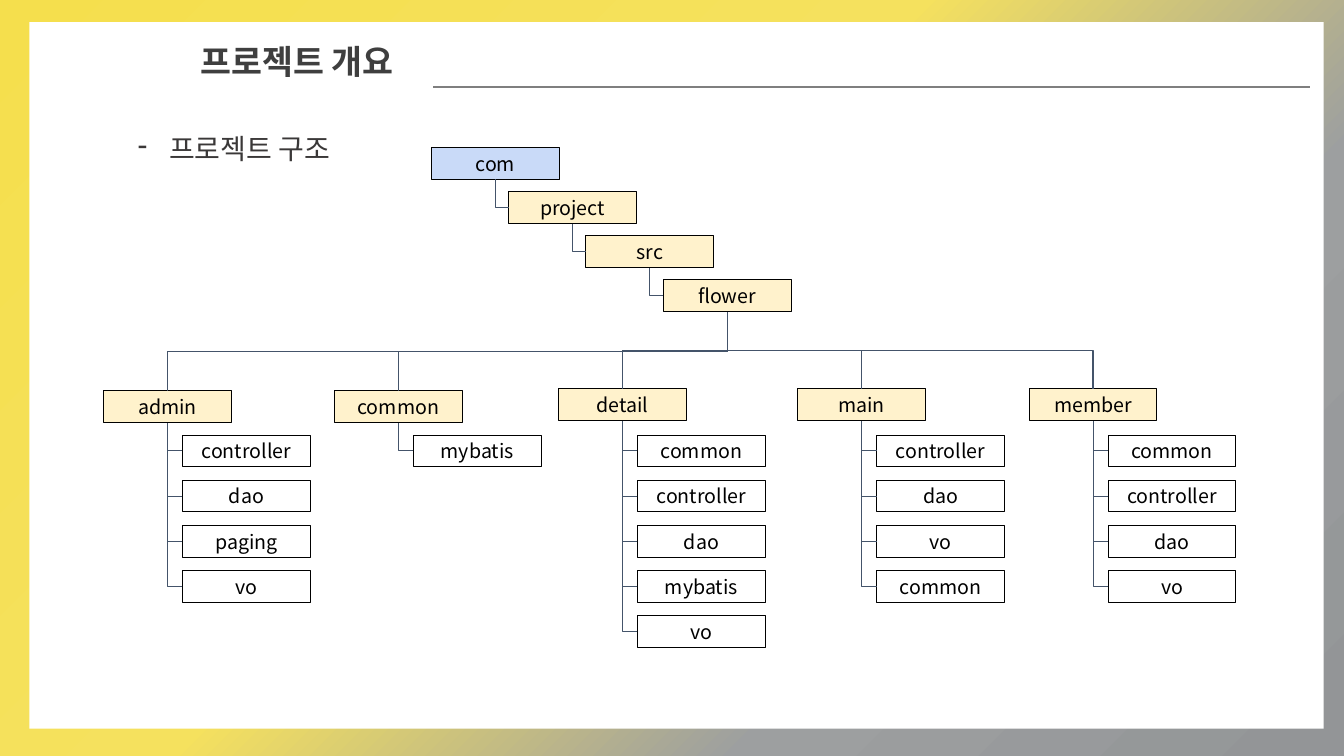
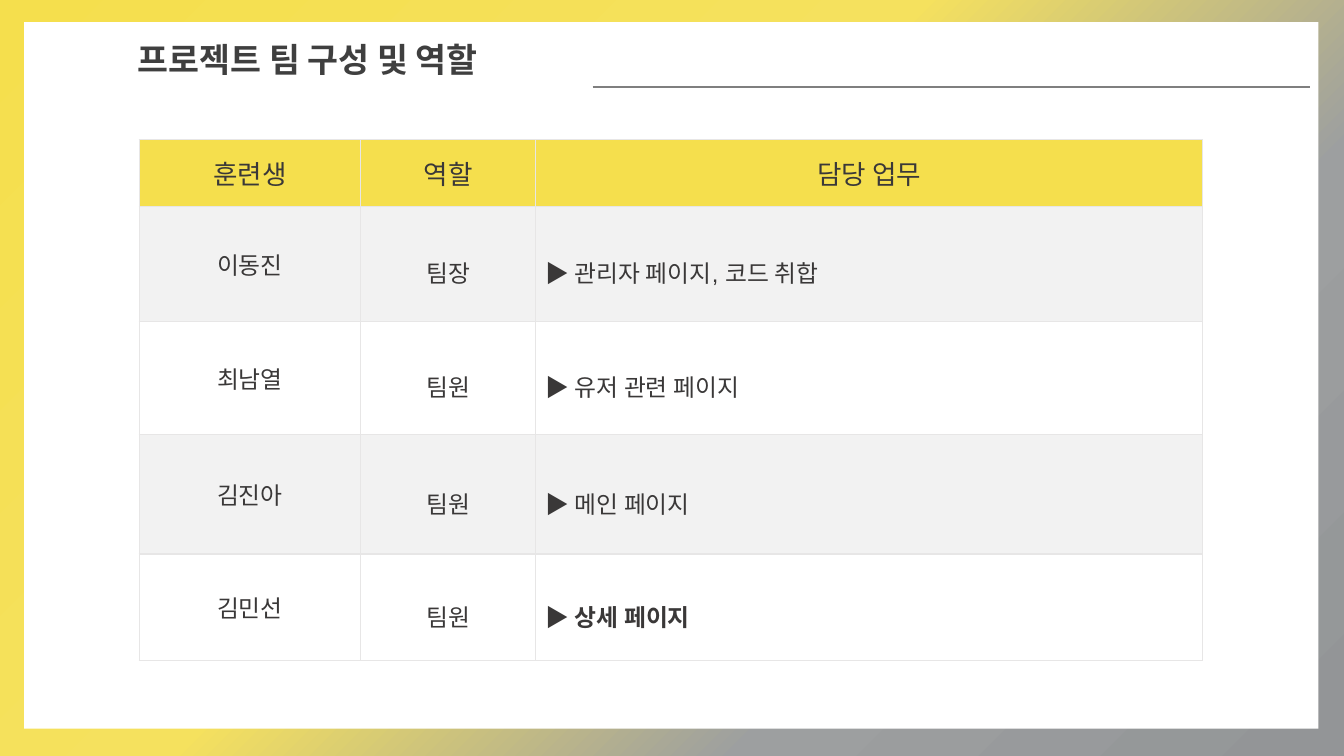
from lxml import etree
from pptx import Presentation
from pptx.dml.color import RGBColor
from pptx.enum.shapes import MSO_CONNECTOR, MSO_SHAPE
from pptx.enum.text import MSO_ANCHOR, PP_ALIGN
from pptx.oxml.ns import qn
from pptx.util import Inches, Pt

STRAIGHT = MSO_CONNECTOR.STRAIGHT
ELBOW = MSO_CONNECTOR.ELBOW
RECTANGLE = MSO_SHAPE.RECTANGLE
MIDDLE = MSO_ANCHOR.MIDDLE
LEFT = PP_ALIGN.LEFT
CENTER = PP_ALIGN.CENTER
TOP_SIDE, LEFT_SIDE, BOTTOM_SIDE = 0, 1, 2

WHITE = RGBColor(0xFF, 0xFF, 0xFF)
BLACK = RGBColor(0x00, 0x00, 0x00)
YELLOW = RGBColor(0xF5, 0xDF, 0x4D)
SOFT_YELLOW = RGBColor(0xF5, 0xE1, 0x5E)
SOFT_GRAY = RGBColor(0x9D, 0x9F, 0xA0)
GRAY = RGBColor(0x93, 0x95, 0x97)
RULE_GRAY = RGBColor(0x7F, 0x7F, 0x7F)
TITLE_GRAY = RGBColor(0x3F, 0x3F, 0x3F)
TEXT_GRAY = RGBColor(0x3A, 0x38, 0x38)
BAND_GRAY = RGBColor(0xF2, 0xF2, 0xF2)
BORDER_GRAY = RGBColor(0xE7, 0xE6, 0xE6)
ROOT_BLUE = RGBColor(0xC9, 0xDA, 0xF8)
FOLDER_CREAM = RGBColor(0xFF, 0xF2, 0xCC)
LINK_BLUE = RGBColor(0x44, 0x54, 0x6A)

BACKGROUND_STOPS = [(0, YELLOW, 100), (44, SOFT_YELLOW, 70), (71, SOFT_GRAY, 70), (100, GRAY, 100)]

SLIDE_WIDTH = Inches(13.333)
SLIDE_HEIGHT = Inches(7.5)

TITLE_FONT = {"name": "Arial", "size": Pt(24), "bold": True}
BODY_FONT = {"name": "Arial", "size": Pt(20)}
HEADER_FONT = {"name": "Arial", "size": Pt(19)}
CELL_FONT = {"name": "Arial", "size": Pt(17)}
STRONG_CELL_FONT = {**CELL_FONT, "bold": True}
BOX_FONT = {"name": "Noto Sans CJK KR", "size": Pt(14)}

BOX_WIDTH, BOX_HEIGHT = 9.52, 4.2
CHAIN_LEFT, CHAIN_TOP = 32.1, 19.55
CHAIN_STEP_X, CHAIN_STEP_Y = 5.75, 5.83
CHILD_INDENT, CHILD_TOP, CHILD_STEP = 5.88, 57.55, 5.97

CHAIN = ["com", "project", "src", "flower"]
BRANCHES = [
    ("admin", 7.7, 51.7, ["controller", "dao", "paging", "vo"]),
    ("common", 24.88, 51.7, ["mybatis"]),
    ("detail", 41.55, 51.45, ["common", "controller", "dao", "mybatis", "vo"]),
    ("main", 59.35, 51.45, ["controller", "dao", "vo", "common"]),
    ("member", 76.57, 51.45, ["common", "controller", "dao", "vo"]),
]

TEAM_HEADERS = ["훈련생", "역할", "담당 업무"]
TEAM = [
    ("이동진", "팀장", "관리자 페이지, 코드 취합", CELL_FONT),
    ("최남열", "팀원", "유저 관련 페이지", CELL_FONT),
    ("김진아", "팀원", "메인 페이지", CELL_FONT),
    ("김민선", "팀원", "상세 페이지", STRONG_CELL_FONT),
]
TEAM_COLUMNS = [16.5, 13, 49.65]
TEAM_ROWS = [8.8, 15.2, 14.93, 15.87, 14.13]


def across(percent):
    return round(SLIDE_WIDTH * percent / 100)


def down(percent):
    return round(SLIDE_HEIGHT * percent / 100)


def area(left, top, width, height):
    return across(left), down(top), across(width), down(height)


def apply_format(target, values):
    for name, value in values.items():
        setattr(target, name, value)


def add_run(paragraph, text, font, color):
    run = paragraph.add_run()
    run.text = text
    apply_format(run.font, font)
    run.font.color.rgb = color


def add_color(parent, color):
    fill = etree.SubElement(parent, qn("a:srgbClr"))
    fill.set("val", str(color))
    return fill


def paint_background(slide):
    fill = slide.background.fill
    fill.gradient()
    fill.gradient_angle = 315
    stops = next(slide.element.iter(qn("a:gsLst")))
    for stop in list(stops):
        stops.remove(stop)
    for position, color, opacity in BACKGROUND_STOPS:
        stop = etree.SubElement(stops, qn("a:gs"), pos=str(position * 1000))
        fill_color = add_color(stop, color)
        if opacity < 100:
            etree.SubElement(fill_color, qn("a:alpha"), val=str(opacity * 1000))


def add_rectangle(slide, place, color):
    shape = slide.shapes.add_shape(RECTANGLE, *place)
    shape.shadow.inherit = False
    shape.fill.solid()
    shape.fill.fore_color.rgb = color
    shape.line.fill.background()
    return shape


def add_line(slide, kind, begin, end, color, width):
    connector = slide.shapes.add_connector(kind, *begin, *end)
    connector.line.color.rgb = color
    connector.line.width = Pt(width)
    etree.SubElement(connector.element.spPr, qn("a:effectLst"))
    return connector


def add_text(slide, place, text, font, color):
    frame = slide.shapes.add_textbox(*place).text_frame
    frame.word_wrap = True
    paragraph = frame.paragraphs[0]
    add_run(paragraph, text, font, color)
    return paragraph


def add_framed_slide(presentation, title, panel_left, title_place, rule_left):
    slide = presentation.slides.add_slide(presentation.slide_layouts[6])
    paint_background(slide)
    add_rectangle(slide, area(panel_left, 2.93, 96.3, 93.47), WHITE)
    rule_top = down(11.5)
    add_line(slide, STRAIGHT, (across(rule_left), rule_top), (across(97.5), rule_top), RULE_GRAY, 1)
    add_text(slide, area(*title_place), title, TITLE_FONT, TITLE_GRAY)
    return slide


def add_dash_item(slide, place, text):
    paragraph = add_text(slide, place, text, BODY_FONT, TEXT_GRAY)
    properties = paragraph._p.get_or_add_pPr()
    indent = Inches(0.31)
    properties.set("marL", str(indent))
    properties.set("indent", str(-indent))
    add_color(etree.SubElement(properties, qn("a:buClr")), TEXT_GRAY)
    etree.SubElement(properties, qn("a:buChar"), char="-")


def add_box(slide, name, left, top, color):
    box = add_rectangle(slide, area(left, top, BOX_WIDTH, BOX_HEIGHT), color)
    box.line.color.rgb = BLACK
    box.line.width = Pt(0.75)
    frame = box.text_frame
    margin = Inches(0.1)
    apply_format(frame, {
        "vertical_anchor": MIDDLE, "word_wrap": True,
        "margin_left": margin, "margin_right": margin,
        "margin_top": margin, "margin_bottom": margin,
    })
    paragraph = frame.paragraphs[0]
    paragraph.alignment = CENTER
    add_run(paragraph, name, BOX_FONT, BLACK)
    return box


def link(slide, child, side, parent):
    if side == LEFT_SIDE:
        begin = child.left, child.top + child.height // 2
    else:
        begin = child.left + child.width // 2, child.top
    end = parent.left + parent.width // 2, parent.top + parent.height
    connector = add_line(slide, ELBOW, begin, end, LINK_BLUE, 0.75)
    connector.begin_connect(child, side)
    connector.end_connect(parent, BOTTOM_SIDE)
    return connector


def link_to_side(slide, child, parent):
    connector = link(slide, child, LEFT_SIDE, parent)
    connector.element.spPr.find(qn("a:prstGeom")).set("prst", "bentConnector2")


def link_to_top(slide, child, parent):
    connector = link(slide, child, TOP_SIDE, parent)
    width, height = connector.width, connector.height
    apply_format(connector, {
        "left": connector.left + (width - height) // 2,
        "top": connector.top + (height - width) // 2,
        "width": height,
        "height": width,
    })
    is_right = child.left > parent.left
    transform = connector.element.spPr.find(qn("a:xfrm"))
    transform.set("rot", str((90 if is_right else 270) * 60000))
    transform.set("flipH", "1" if is_right else "0")
    transform.set("flipV", "0")


def add_chain(slide):
    parent = None
    for level, name in enumerate(CHAIN):
        left = CHAIN_LEFT + level * CHAIN_STEP_X
        top = CHAIN_TOP + level * CHAIN_STEP_Y
        box = add_box(slide, name, left, top, FOLDER_CREAM if parent else ROOT_BLUE)
        if parent:
            link_to_side(slide, box, parent)
        parent = box
    return parent


def add_branch(slide, parent, name, left, top, children):
    branch = add_box(slide, name, left, top, FOLDER_CREAM)
    link_to_top(slide, branch, parent)
    for row, child_name in enumerate(children):
        child = add_box(slide, child_name, left + CHILD_INDENT, CHILD_TOP + row * CHILD_STEP, WHITE)
        link_to_side(slide, child, branch)


def add_border(cell):
    properties = cell._tc.get_or_add_tcPr()
    for index, side in enumerate(("a:lnL", "a:lnR", "a:lnT", "a:lnB")):
        border = etree.Element(qn(side), w=str(Pt(1)))
        add_color(etree.SubElement(border, qn("a:solidFill")), BORDER_GRAY)
        properties.insert(index, border)


def fill_cell(cell, color, runs, alignment=CENTER, spacing=None):
    cell.fill.solid()
    cell.fill.fore_color.rgb = color
    cell.vertical_anchor = MIDDLE
    add_border(cell)
    paragraph = cell.text_frame.paragraphs[0]
    apply_format(paragraph, {"alignment": alignment, "line_spacing": spacing})
    for text, font in runs:
        add_run(paragraph, text, font, TEXT_GRAY)


def add_team_table(slide):
    place = area(10.35, 18.5, sum(TEAM_COLUMNS), sum(TEAM_ROWS))
    table = slide.shapes.add_table(len(TEAM_ROWS), len(TEAM_COLUMNS), *place).table
    apply_format(table, {"first_row": False, "horz_banding": False})
    for column, width in zip(table.columns, TEAM_COLUMNS):
        column.width = across(width)
    for row, height in zip(table.rows, TEAM_ROWS):
        row.height = down(height)
    for column, header in enumerate(TEAM_HEADERS):
        fill_cell(table.cell(0, column), YELLOW, [(header, HEADER_FONT)])
    for row, (member, role, duty, duty_font) in enumerate(TEAM, start=1):
        color = BAND_GRAY if row % 2 else WHITE
        duty_runs = [("▶ ", STRONG_CELL_FONT), (duty, duty_font)]
        fill_cell(table.cell(row, 0), color, [(member, CELL_FONT)])
        fill_cell(table.cell(row, 1), color, [(role, CELL_FONT)], spacing=1.5)
        fill_cell(table.cell(row, 2), color, duty_runs, LEFT, 1.5)


def main():
    presentation = Presentation()
    apply_format(presentation, {"slide_width": SLIDE_WIDTH, "slide_height": SLIDE_HEIGHT})

    structure = add_framed_slide(presentation, "프로젝트 개요", 2.18, (14.18, 4.8, 17.33, 6.53), 32.25)
    add_dash_item(structure, area(9.53, 16.8, 41.33, 10.27), "프로젝트 구조")
    flower = add_chain(structure)
    for branch in BRANCHES:
        add_branch(structure, flower, *branch)

    team = add_framed_slide(presentation, "프로젝트 팀 구성 및 역할", 1.8, (9.53, 4.53, 29.55, 6.53), 44.1)
    add_team_table(team)

    presentation.save("out.pptx")


if __name__ == "__main__":
    main()
